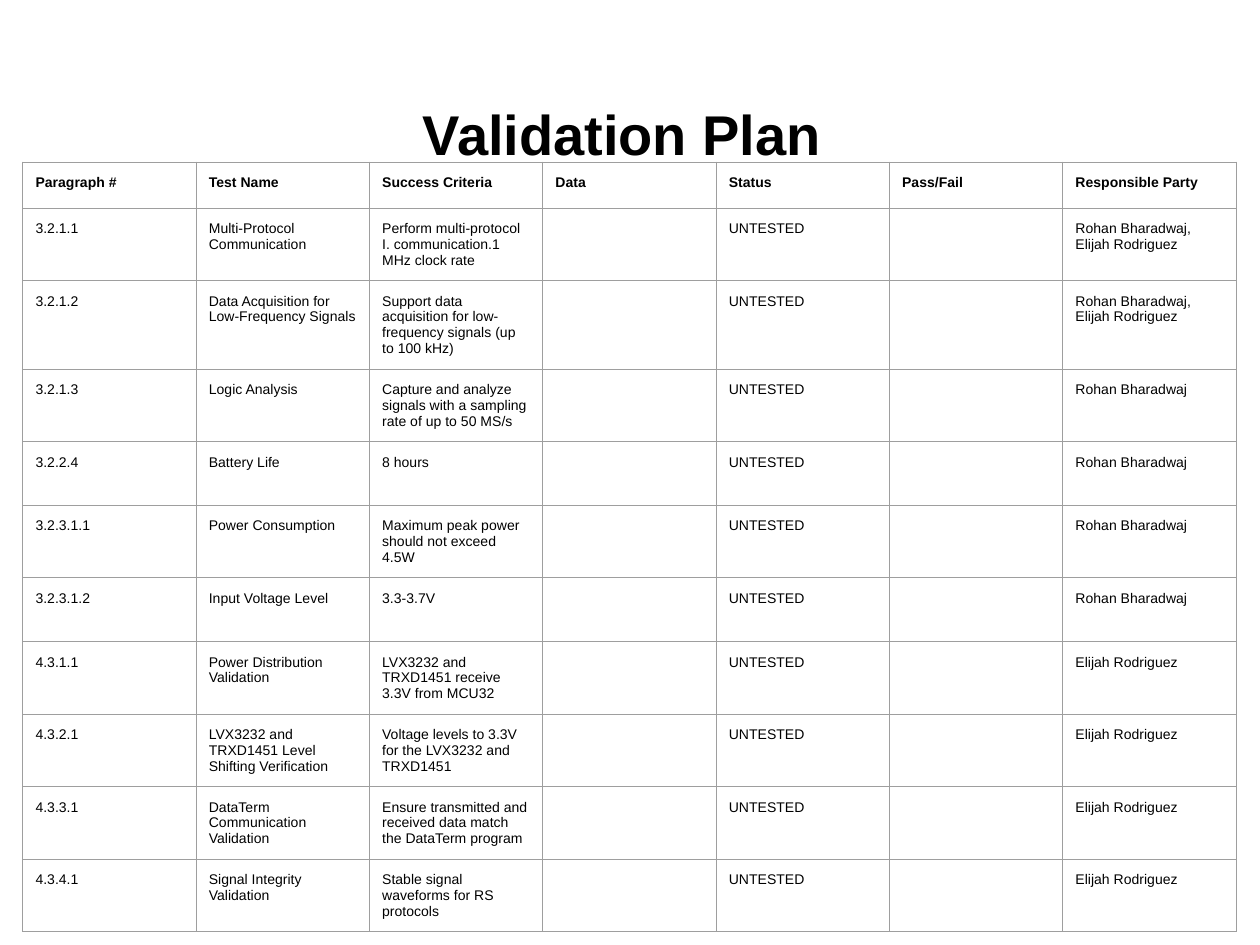
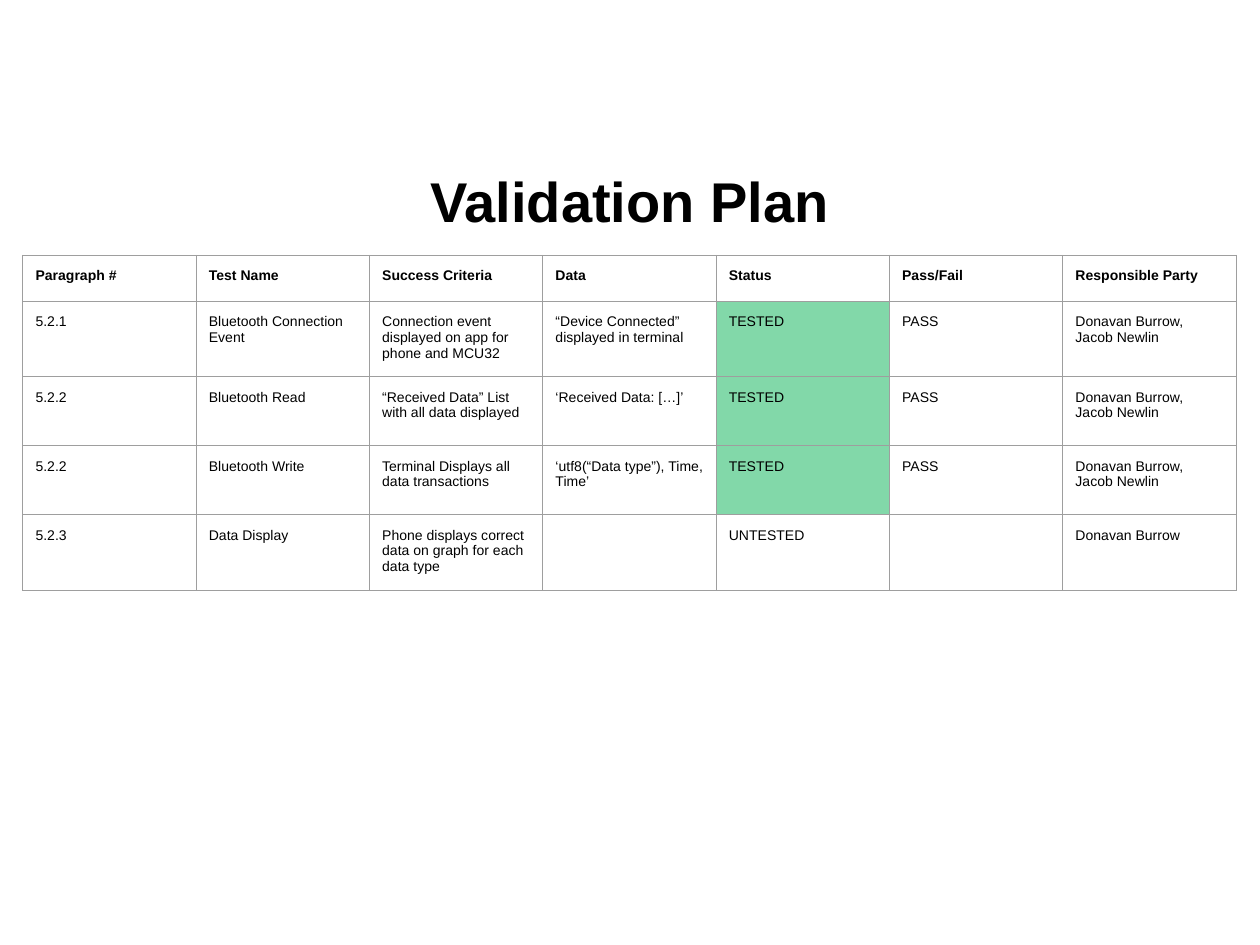
import lxml.etree
import pptx
import pptx.dml.color
import pptx.enum.text
import pptx.oxml.ns
import pptx.util

Pt = pptx.util.Pt
BLACK = pptx.dml.color.RGBColor(0x00, 0x00, 0x00)
GRID_GREY = pptx.dml.color.RGBColor(0x9E, 0x9E, 0x9E)
TESTED_GREEN = pptx.dml.color.RGBColor(0x00, 0xB0, 0x50)
TESTED_OPACITY = 49
FONT = "Arial"
TITLE_SIZE = 32
CELL_SIZE = 8
CELL_MARGIN = 7.2
GRID_WIDTH = 0.75

TABLE_LEFT = 13.1
COLUMN_WIDTH = 99.05
HEADER_HEIGHT = 26.25
ONE_LINE, TWO_LINES, THREE_LINES, FOUR_LINES = 34.55, 39.4, 41.45, 50.4

HEADERS = ["Paragraph #", "Test Name", "Success Criteria", "Data", "Status",
           "Pass/Fail", "Responsible Party"]
STATUS_COLUMN = HEADERS.index("Status")

ROHAN = "Rohan Bharadwaj"
ELIJAH = "Elijah Rodriguez"
BOTH = f"{ROHAN}, {ELIJAH}"

# Row height, paragraph, test name, success criteria, responsible party
HARDWARE_TESTS = [
    (THREE_LINES, "3.2.1.1", "Multi-Protocol Communication",
     "Perform multi-protocol I. communication.1 MHz clock rate", BOTH),
    (FOUR_LINES, "3.2.1.2", "Data Acquisition for Low-Frequency Signals",
     "Support data acquisition for low-frequency signals (up to 100 kHz)", BOTH),
    (THREE_LINES, "3.2.1.3", "Logic Analysis",
     "Capture and analyze signals with a sampling rate of up to 50 MS/s", ROHAN),
    (ONE_LINE, "3.2.2.4", "Battery Life", "8 hours", ROHAN),
    (THREE_LINES, "3.2.3.1.1", "Power Consumption",
     "Maximum peak power should not exceed 4.5W", ROHAN),
    (ONE_LINE, "3.2.3.1.2", "Input Voltage Level", "3.3-3.7V", ROHAN),
    (THREE_LINES, "4.3.1.1", "Power Distribution Validation",
     "LVX3232 and TRXD1451 receive 3.3V from MCU32", ELIJAH),
    (THREE_LINES, "4.3.2.1", "LVX3232 and TRXD1451 Level Shifting Verification",
     "Voltage levels to 3.3V for the LVX3232 and TRXD1451", ELIJAH),
    (THREE_LINES, "4.3.3.1", "DataTerm Communication Validation",
     "Ensure transmitted and received data match the DataTerm program", ELIJAH),
    (THREE_LINES, "4.3.4.1", "Signal Integrity Validation",
     "Stable signal waveforms for RS protocols", ELIJAH),
]

# Row height followed by the text of every column
BLUETOOTH_TESTS = [
    (THREE_LINES, "5.2.1", "Bluetooth Connection Event",
     "Connection event displayed on app for phone and MCU32",
     "“Device Connected” displayed in terminal", "TESTED", "PASS",
     "Donavan Burrow,\vJacob Newlin"),
    (TWO_LINES, "5.2.2", "Bluetooth Read",
     "“Received Data” List with all data displayed",
     "‘Received Data: […]’", "TESTED", "PASS", "Donavan Burrow,\nJacob Newlin"),
    (TWO_LINES, "5.2.2", "Bluetooth Write",
     "Terminal Displays all data transactions",
     "‘utf8(“Data type”), Time, Time’", "TESTED", "PASS",
     "Donavan Burrow,\nJacob Newlin"),
    (THREE_LINES, "5.2.3", "Data Display",
     "Phone displays correct data on graph for each data type",
     "", "UNTESTED", "", "Donavan Burrow"),
]


def format_text(frame, size, bold):
    for paragraph in frame.paragraphs:
        for run in paragraph.runs:
            run.font.name = FONT
            run.font.size = Pt(size)
            run.font.bold = bold
            run.font.color.rgb = BLACK


def add_title(slide, text, top, height):
    title = slide.shapes.add_textbox(Pt(36), Pt(top), Pt(648), Pt(height))
    frame = title.text_frame
    frame.word_wrap = True
    frame.vertical_anchor = pptx.enum.text.MSO_ANCHOR.MIDDLE
    frame.text = text
    frame.paragraphs[0].alignment = pptx.enum.text.PP_ALIGN.CENTER
    format_text(frame, TITLE_SIZE, True)


def add_color(fill, color):
    return lxml.etree.SubElement(fill, pptx.oxml.ns.qn("a:srgbClr"), val=str(color))


def draw_borders(cell):
    properties = cell._tc.get_or_add_tcPr()
    for side in ("a:lnL", "a:lnR", "a:lnT", "a:lnB"):
        line = lxml.etree.SubElement(properties, pptx.oxml.ns.qn(side),
                                     w=str(Pt(GRID_WIDTH)))
        add_color(lxml.etree.SubElement(line, pptx.oxml.ns.qn("a:solidFill")), GRID_GREY)


def fill_tested(cell):
    cell.fill.solid()
    cell.fill.fore_color.rgb = TESTED_GREEN
    color = cell._tc.tcPr.find(".//" + pptx.oxml.ns.qn("a:solidFill") + "[last()]")
    color = cell._tc.tcPr.findall(pptx.oxml.ns.qn("a:solidFill"))[0][0]
    lxml.etree.SubElement(color, pptx.oxml.ns.qn("a:alpha"),
                          val=str(TESTED_OPACITY * 1000))


def write_cell(cell, text, bold, tested):
    cell.margin_left = cell.margin_right = Pt(CELL_MARGIN)
    cell.margin_top = cell.margin_bottom = Pt(CELL_MARGIN)
    draw_borders(cell)
    if tested:
        fill_tested(cell)
    else:
        cell.fill.background()
    if text:
        cell.text_frame.text = text
        format_text(cell.text_frame, CELL_SIZE, bold)


def add_test_table(slide, top, tests):
    """Draw the header row and one row per test; each test starts with its row height."""
    rows = [(HEADER_HEIGHT, *HEADERS), *tests]
    table = slide.shapes.add_table(
        len(rows), len(HEADERS), Pt(TABLE_LEFT), Pt(top),
        Pt(COLUMN_WIDTH * len(HEADERS)), Pt(sum(row[0] for row in rows))).table
    table.first_row = table.horz_banding = False
    for column in table.columns:
        column.width = Pt(COLUMN_WIDTH)
    for row_index, (height, *texts) in enumerate(rows):
        table.rows[row_index].height = Pt(height)
        for column_index, text in enumerate(texts):
            tested = column_index == STATUS_COLUMN and text == "TESTED"
            write_cell(table.cell(row_index, column_index), text, row_index == 0, tested)


def main():
    deck = pptx.Presentation()
    deck.slide_width, deck.slide_height = Pt(720), Pt(540)
    blank = deck.slide_layouts[6]

    hardware = deck.slides.add_slide(blank)
    add_test_table(hardware, 92.7, [
        (height, number, name, criteria, "", "UNTESTED", "", party)
        for height, number, name, criteria, party in HARDWARE_TESTS])
    add_title(hardware, "Validation Plan ", 50.4, 51.1)

    bluetooth = deck.slides.add_slide(blank)
    add_title(bluetooth, "Validation Plan", 82.8, 63.4)
    add_test_table(bluetooth, 145.9, BLUETOOTH_TESTS)

    deck.save("out.pptx")


if __name__ == "__main__":
    main()
